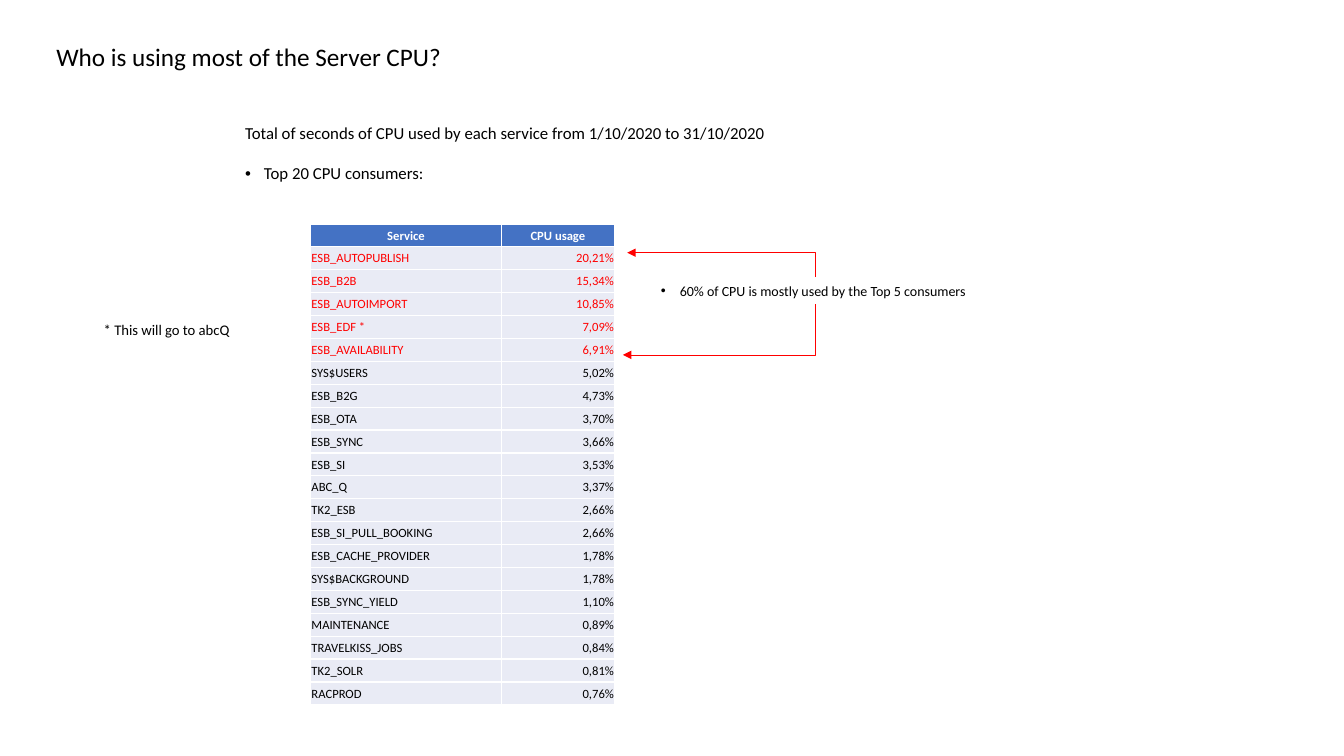
"""Build a slide that ranks the services by their share of CPU time."""
from dataclasses import dataclass

from lxml.etree import SubElement
from pptx import Presentation
from pptx.dml.color import RGBColor
from pptx.enum.shapes import MSO_CONNECTOR
from pptx.enum.text import MSO_ANCHOR as Anchor, PP_ALIGN as Align
from pptx.oxml.ns import qn
from pptx.util import Pt


@dataclass(frozen=True)
class Theme:
    """Colours, font and type sizes of the slide."""
    font: str = "Calibri"
    ink: RGBColor = RGBColor(0, 0, 0)
    alert: RGBColor = RGBColor(0xFF, 0, 0)
    white: RGBColor = RGBColor(0xFF, 0xFF, 0xFF)
    header: RGBColor = RGBColor(0x44, 0x72, 0xC4)
    row: RGBColor = RGBColor(0xE9, 0xEB, 0xF5)
    title: float = 18
    body: float = 12
    note: float = 10.5
    label: float = 10
    cell: float = 9


THEME = Theme()
TOP_COUNT = 5
HEADINGS = ("Service", "CPU usage")
USAGE = (
    ("ESB_AUTOPUBLISH", "20,21%"),
    ("ESB_B2B", "15,34%"),
    ("ESB_AUTOIMPORT", "10,85%"),
    ("ESB_EDF *", "7,09%"),
    ("ESB_AVAILABILITY", "6,91%"),
    ("SYS$USERS", "5,02%"),
    ("ESB_B2G", "4,73%"),
    ("ESB_OTA", "3,70%"),
    ("ESB_SYNC", "3,66%"),
    ("ESB_SI", "3,53%"),
    ("ABC_Q", "3,37%"),
    ("TK2_ESB", "2,66%"),
    ("ESB_SI_PULL_BOOKING", "2,66%"),
    ("ESB_CACHE_PROVIDER", "1,78%"),
    ("SYS$BACKGROUND", "1,78%"),
    ("ESB_SYNC_YIELD", "1,10%"),
    ("MAINTENANCE", "0,89%"),
    ("TRAVELKISS_JOBS", "0,84%"),
    ("TK2_SOLR", "0,81%"),
    ("RACPROD", "0,76%"),
)


def write(para, text, size, color=THEME.ink, align=Align.LEFT, bold=False):
    """Fill a paragraph and set its font."""
    para.text = text
    para.alignment = align
    para.font.name = THEME.font
    para.font.size = Pt(size)
    para.font.bold = bold
    para.font.color.rgb = color


def add_bullet(para):
    """Give a paragraph a hanging round bullet."""
    props = para._p.get_or_add_pPr()
    props.set("marL", str(Pt(13.5)))
    props.set("indent", str(-Pt(13.5)))
    SubElement(props, qn("a:buFont")).set("typeface", "Arial")
    SubElement(props, qn("a:buChar")).set("char", "•")


def set_title(page, text, left, top, width, height):
    """Place and format the title placeholder."""
    title = page.shapes.title
    title.left, title.top = Pt(left), Pt(top)
    title.width, title.height = Pt(width), Pt(height)
    title.text_frame.vertical_anchor = Anchor.TOP
    write(title.text_frame.paragraphs[0], text, THEME.title)


def add_text(page, text, size, left, top, width, height, bullet=False):
    """Add a wrapping text box and return its frame."""
    box = page.shapes.add_textbox(Pt(left), Pt(top), Pt(width), Pt(height))
    frame = box.text_frame
    frame.word_wrap = True
    if bullet:
        add_bullet(frame.paragraphs[0])
    write(frame.paragraphs[0], text, size)
    return frame


def add_intro(page):
    """Add the introduction, which rests on the bottom of its box."""
    frame = add_text(
        page, "Total of seconds of CPU used by each service from 1/10/2020 to 31/10/2020",
        THEME.body, 168, 69, 391, 65.5)
    frame.vertical_anchor = Anchor.BOTTOM
    para = frame.add_paragraph()
    para.space_before = Pt(14.5)
    add_bullet(para)
    write(para, "Top 20 CPU consumers:", THEME.body)


def add_bent_arrow(page, start, end):
    """Add an arrow that runs vertically from start, then left to end."""
    (start_x, start_y), (end_x, end_y) = start, end
    rise, run = abs(end_y - start_y), abs(end_x - start_x)
    left = (start_x + end_x - rise) / 2
    top = (start_y + end_y - run) / 2
    upward = end_y < start_y
    first_y, last_y = (top + run, top) if upward else (top, top + run)
    arrow = page.shapes.add_connector(
        MSO_CONNECTOR.ELBOW, Pt(left), Pt(first_y), Pt(left + rise), Pt(last_y))
    arrow.line.color.rgb = THEME.alert
    arrow.line.width = Pt(0.5)
    props = arrow._element.spPr
    props.find(qn("a:xfrm")).set("rot", str((270 if upward else 90) * 60000))
    props.find(qn("a:prstGeom")).set("prst", "bentConnector2")
    SubElement(props.find(qn("a:ln")), qn("a:tailEnd")).set("type", "triangle")
    SubElement(props, qn("a:effectLst"))


def fill_cell(cell, text, fill, color, align, bold=False):
    """Format one table cell and write its text."""
    cell.fill.solid()
    cell.fill.fore_color.rgb = fill
    cell.vertical_anchor = Anchor.MIDDLE
    cell.margin_left = cell.margin_right = cell.margin_top = Pt(0.5)
    cell.margin_bottom = Pt(0)
    write(cell.text_frame.paragraphs[0], text, THEME.cell, color, align, bold)


def add_usage_table(page, left, top, widths, row_height):
    """Add the usage table with the top consumers in red."""
    count = len(USAGE) + 1
    table = page.shapes.add_table(
        count, len(widths), Pt(left), Pt(top), Pt(sum(widths)), Pt(row_height * count)).table
    table.horz_banding = False
    for column, width in zip(table.columns, widths):
        column.width = Pt(width)
    for row in table.rows:
        row.height = Pt(row_height)
    for col, heading in enumerate(HEADINGS):
        fill_cell(table.cell(0, col), heading, THEME.header, THEME.white, Align.CENTER, True)
    for rank, record in enumerate(USAGE, start=1):
        color = THEME.alert if rank <= TOP_COUNT else THEME.ink
        for col, (text, align) in enumerate(zip(record, (Align.LEFT, Align.RIGHT))):
            fill_cell(table.cell(rank, col), text, THEME.row, color, align)


def main():
    """Build and save the deck."""
    deck = Presentation()
    deck.slide_width, deck.slide_height = Pt(960), Pt(540)
    page = deck.slides.add_slide(deck.slide_layouts.get_by_name("Title Only"))
    set_title(page, "Who is using most of the Server CPU?", 33, 26, 537, 29)
    add_intro(page)
    add_text(page, "60% of CPU is mostly used by the Top 5 consumers",
             THEME.label, 465, 198, 235, 19.5, bullet=True)
    add_bent_arrow(page, (582.5, 198), (448, 180.5))
    add_bent_arrow(page, (582.5, 217.5), (445, 253.5))
    add_usage_table(page, 222, 160, (136, 81), 16.38)
    add_text(page, "* This will go to abcQ", THEME.note, 67, 225.5, 112.5, 21)
    deck.save("out.pptx")


if __name__ == "__main__":
    main()
